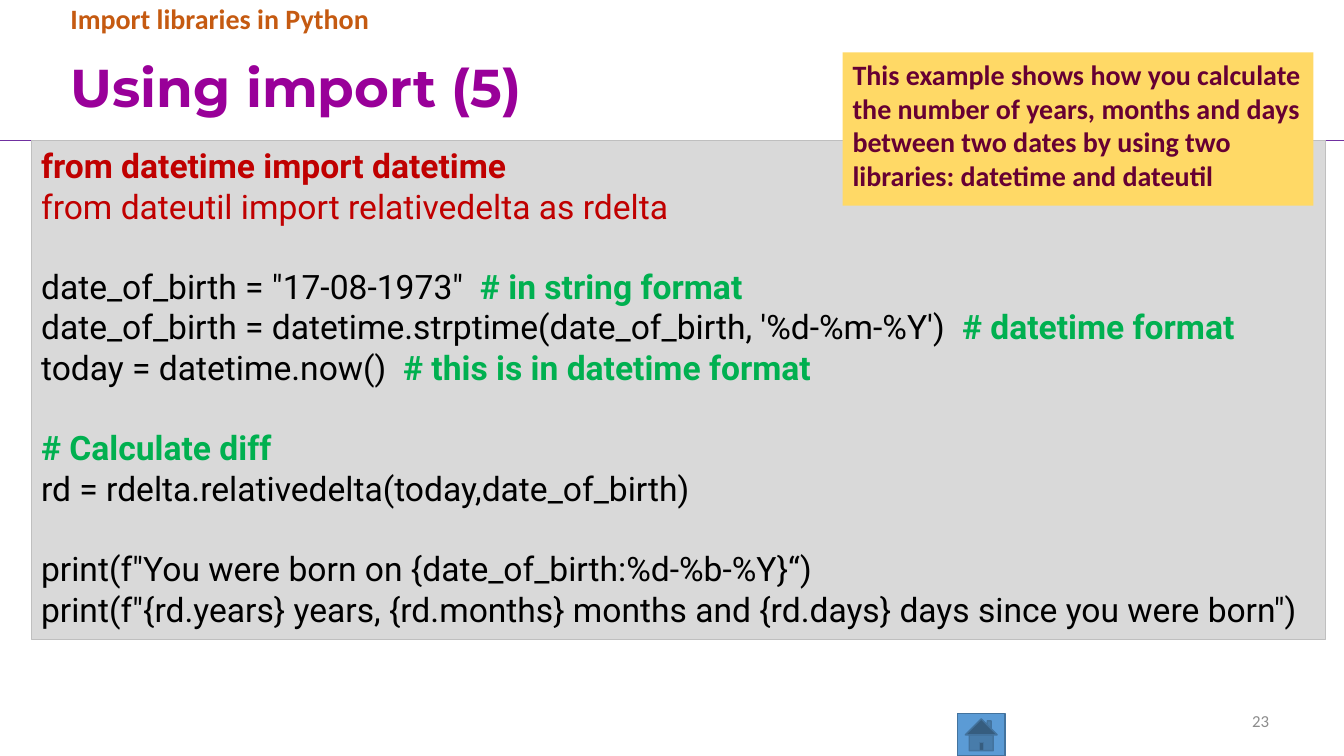
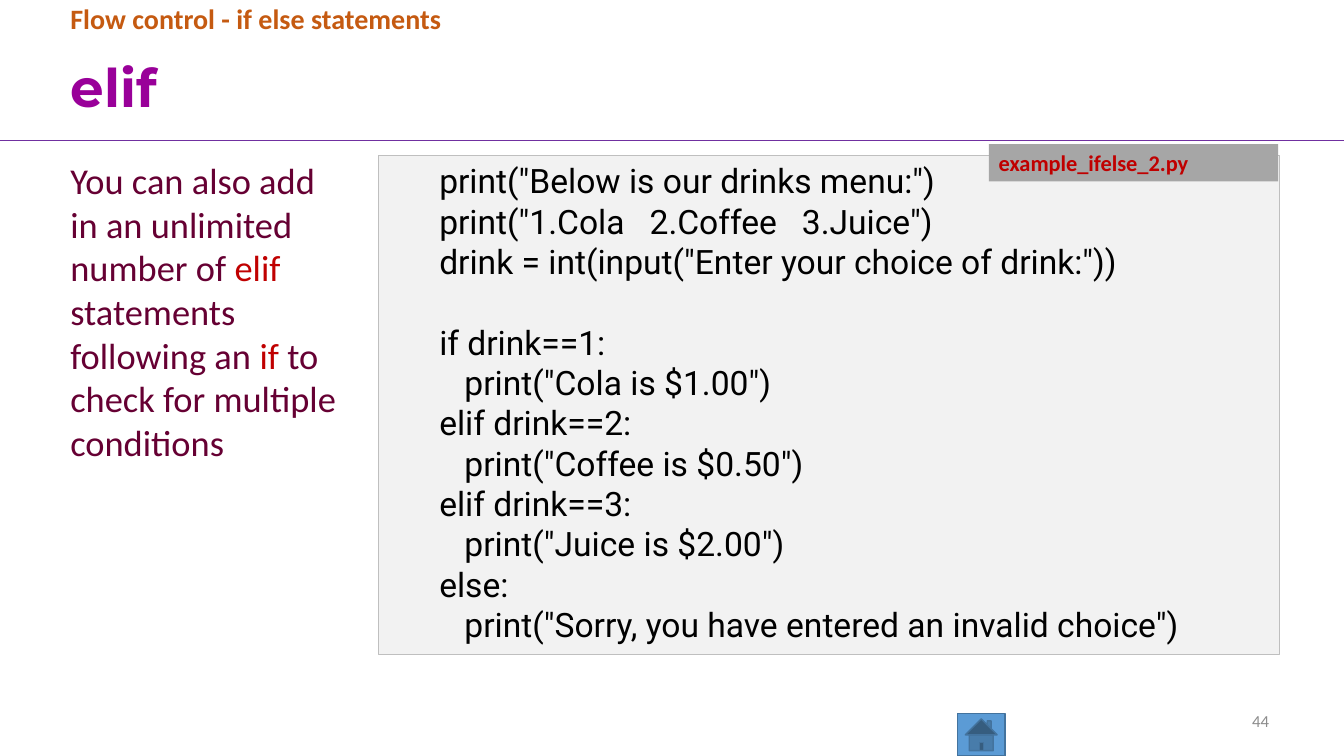
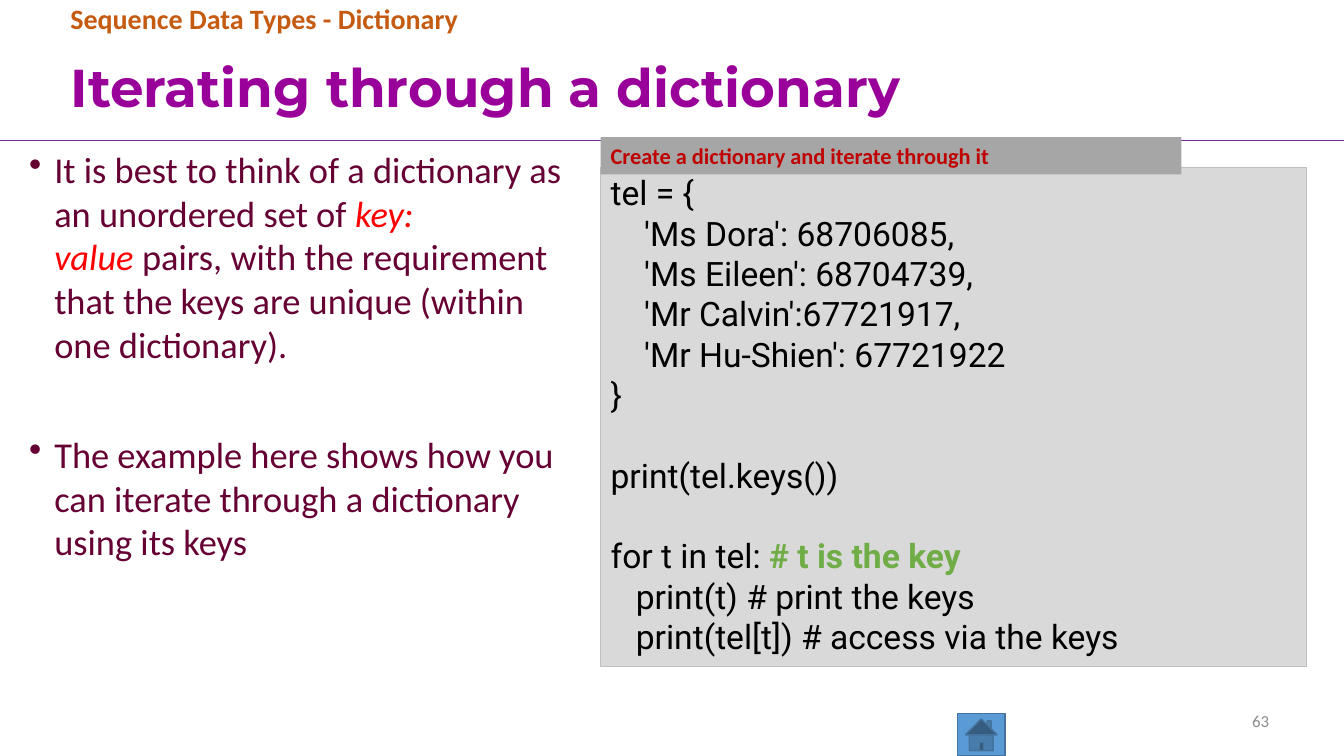
from dataclasses import dataclass
from typing import NamedTuple, Optional

from lxml.etree import SubElement
from pptx import Presentation
from pptx.dml.color import RGBColor
from pptx.enum.shapes import MSO_CONNECTOR, MSO_SHAPE
from pptx.enum.text import MSO_ANCHOR, MSO_AUTO_SIZE, PP_ALIGN
from pptx.oxml.ns import qn
from pptx.util import Pt


class Style(NamedTuple):
    font: str
    size: float
    color: str
    bold: bool = False


@dataclass(frozen=True)
class Theme:
    title: Style = Style("Montserrat", 38, "990099", True)
    topic: Style = Style("Calibri", 20, "C55A11", True)
    number: Style = Style("Calibri", 12, "8C8C8C")
    body: Style = Style("Calibri", 26, "660033")
    callout: Style = Style("Calibri", 20, "660033", True)
    label: Style = Style("Calibri", 16, "C00000", True)
    code: Style = Style("Roboto", 24, "000000")
    keyword: str = "C00000"
    emphasis: str = "FF0000"
    comment: str = "00B050"
    key_comment: str = "70AD47"
    rule: str = "7030A0"
    home_fill: str = "5B9BD5"
    home_line: str = "43739E"
    callout_fill: str = "FFD966"
    label_fill: str = "A6A6A6"
    code_fill: str = "D9D9D9"
    light_code_fill: str = "F2F2F2"
    code_line: str = "BFBFBF"
    blank_line: float = 28.8
    bullet_gap: float = 47.7
    bullet_indent: float = 18


class Box(NamedTuple):
    left: float
    top: float
    width: float
    height: float


class Span(NamedTuple):
    text: str
    color: Optional[str] = None
    bold: bool = False
    italic: bool = False


@dataclass(frozen=True)
class Line:
    spans: tuple[Span, ...]
    before: float = 0
    indent: float = 0
    bullet: bool = False


THEME = Theme()
PAGE_WIDTH, PAGE_HEIGHT = 960, 540
RULE_TOP = 100.08
TITLE_BOX = Box(43.2, 29.52, 870.48, 69.84)
TOPIC_BOX = Box(43.2, 0, 744.48, 29.52)
NUMBER_BOX = Box(678.24, 500.4, 235.44, 28.8)
HOME_BOX = Box(684, 509.76, 33.84, 30.24)
CODE_HEIGHT = 356.4
LABEL_HEIGHT = 26.64
NO_BREAK = chr(160)


def line(*parts: Span | str, before: float = 0, indent: float = 0,
         bullet: bool = False) -> Line:
    spans = tuple(Span(part) if isinstance(part, str) else part for part in parts)
    return Line(spans, before, indent, bullet)


def after_blank(*parts: Span | str) -> Line:
    return line(*parts, before=THEME.blank_line)


def comment(text: str, color: str = THEME.comment) -> Span:
    return Span(text, color, bold=True)


def rgb(color: str) -> RGBColor:
    return RGBColor.from_string(color)


def place(shape, box: Box) -> None:
    shape.left, shape.top, shape.width, shape.height = map(Pt, box)


def write(shape, lines: list[Line], style: Style, base_indent: float = 0,
          anchor=MSO_ANCHOR.TOP, align=PP_ALIGN.LEFT, spacing: float = 1.0) -> None:
    frame = shape.text_frame
    frame.word_wrap = True
    frame.auto_size = MSO_AUTO_SIZE.NONE
    frame.vertical_anchor = anchor
    for index, item in enumerate(lines):
        para = frame.add_paragraph() if index else frame.paragraphs[0]
        para.alignment = align
        para.line_spacing = spacing
        para.space_before = Pt(item.before)
        properties = para._p.get_or_add_pPr()
        hanging = THEME.bullet_indent if item.bullet else 0
        properties.set("marL", str(Pt(base_indent + item.indent + hanging)))
        properties.set("indent", str(Pt(-hanging)))
        if item.bullet:
            SubElement(properties, qn("a:buChar")).set("char", "•")
        para.font.name = style.font
        para.font.size = Pt(style.size)
        para.font.bold = style.bold
        para.font.color.rgb = rgb(style.color)
        for span in item.spans:
            run = para.add_run()
            run.text = span.text
            if span.color:
                run.font.color.rgb = rgb(span.color)
            if span.bold:
                run.font.bold = True
            if span.italic:
                run.font.italic = True


def add_text(page, box: Box, lines: list[Line], style: Style, **options):
    shape = page.shapes.add_textbox(*map(Pt, box))
    write(shape, lines, style, **options)


def add_panel(page, box: Box, fill: str, border: Optional[str] = None,
              border_width: float = 0.75, preset=MSO_SHAPE.RECTANGLE):
    shape = page.shapes.add_shape(preset, *map(Pt, box))
    shape.shadow.inherit = False
    shape.fill.solid()
    shape.fill.fore_color.rgb = rgb(fill)
    if border:
        shape.line.color.rgb = rgb(border)
        shape.line.width = Pt(border_width)
    else:
        shape.line.fill.background()
    return shape


def add_code(page, left: float, top: float, width: float, lines: list[Line],
             fill: str = THEME.code_fill, base_indent: float = 0) -> None:
    panel = add_panel(page, Box(left, top, width, CODE_HEIGHT), fill, THEME.code_line)
    write(panel, lines, THEME.code, base_indent)


def add_label(page, left: float, top: float, width: float, text: str) -> None:
    panel = add_panel(page, Box(left, top, width, LABEL_HEIGHT), THEME.label_fill)
    write(panel, [line(text)], THEME.label)


def add_page(deck, topic: str, title: str, number: int):
    page = deck.slides.add_slide(deck.slide_layouts[5])
    rule = page.shapes.add_connector(
        MSO_CONNECTOR.STRAIGHT, Pt(0), Pt(RULE_TOP), Pt(PAGE_WIDTH), Pt(RULE_TOP))
    rule.line.color.rgb = rgb(THEME.rule)
    rule.line.width = Pt(0.5)
    SubElement(rule._element.spPr, qn("a:effectLst"))
    add_panel(page, HOME_BOX, THEME.home_fill, THEME.home_line, 1,
              MSO_SHAPE.ACTION_BUTTON_HOME)
    place(page.shapes.title, TITLE_BOX)
    write(page.shapes.title, [line(title)], THEME.title,
          anchor=MSO_ANCHOR.MIDDLE, spacing=0.9)
    add_text(page, TOPIC_BOX, [line(topic)], THEME.topic, spacing=0.9)
    add_text(page, NUMBER_BOX, [line(str(number))], THEME.number,
             anchor=MSO_ANCHOR.MIDDLE, align=PP_ALIGN.RIGHT)
    return page


def build_import_page(deck) -> None:
    page = add_page(deck, "Import libraries in Python", "Using import (5)", 23)
    add_code(page, 22.32, 100.08, 924.48, [
        line(Span("from datetime import datetime", THEME.keyword, bold=True)),
        line(Span("from dateutil import relativedelta as rdelta", THEME.keyword)),
        after_blank('date_of_birth = "17-08-1973"  ', comment("# in string format")),
        line("date_of_birth = datetime.strptime(date_of_birth, '%d-%m-%Y')  ",
             comment("# datetime format")),
        line("today = datetime.now()  ", comment("# this is in datetime format")),
        after_blank(comment("# Calculate diff")),
        line("rd = rdelta.relativedelta(today,date_of_birth)"),
        after_blank('print(f"You were born on {date_of_birth:%d-%b-%Y}“)'),
        line('print(f"{rd.years} years, {rd.months} months and '
             '{rd.days} days since you were born")'),
    ])
    callout = add_panel(page, Box(601.92, 37.44, 336.24, 109.44), THEME.callout_fill)
    write(callout, [line(
        "This example shows how you calculate the number of years, months and days "
        "between two dates by using two libraries: datetime and dateutil",
    )], THEME.callout)


def build_elif_page(deck) -> None:
    page = add_page(deck, "Flow control - if else statements", "elif", 44)
    add_text(page, Box(43.2, 109.44, 210.96, 227.52), [line(
        "You can also add in an unlimited number of ",
        Span("elif ", THEME.keyword),
        "statements following an ",
        Span("if ", THEME.keyword),
        "to check for multiple conditions",
    )], THEME.body)
    nested = 18
    add_code(page, 270.72, 110.88, 642.96, [
        line('print("Below is our drinks menu:")'),
        line('print("1.Cola   2.Coffee   3.Juice")'),
        line('drink = int(input("Enter your choice of drink:"))'),
        after_blank("if drink==1:"),
        line('print("Cola is $1.00")', indent=nested),
        line("elif drink==2:"),
        line('print("Coffee is $0.50")', indent=nested),
        line("elif drink==3:"),
        line('print("Juice is $2.00")', indent=nested),
        line("else:"),
        line('print("Sorry, you have entered an invalid choice")', indent=nested),
    ], THEME.light_code_fill, base_indent=36)
    add_label(page, 706.32, 102.96, 206.64, "example_ifelse_2.py")


def build_dictionary_page(deck) -> None:
    page = add_page(deck, "Sequence Data Types - Dictionary",
                    "Iterating through a dictionary", 63)
    entries = ["'Ms Dora': 68706085,", "'Ms Eileen': 68704739,",
               "'Mr Calvin':67721917,", "'Mr Hu-Shien': 67721922"]
    loop_body = ["print(t) # print the keys", "print(tel[t]) # access via the keys"]
    add_code(page, 429.12, 119.52, 504, [
        line("tel = {"),
        *(line(entry, indent=24) for entry in entries),
        line("}"),
        after_blank("print(tel.keys())"),
        after_blank("for t in tel: ", comment("# t is the key", THEME.key_comment)),
        *(line(statement, indent=18) for statement in loop_body),
    ])
    add_text(page, Box(13.68, 101.52, 397.44, 372.96), [
        line(f"It is best to think of a dictionary as an unordered set of{NO_BREAK}",
             Span("key: value", THEME.emphasis, italic=True),
             f"{NO_BREAK}pairs, with the requirement that the keys are unique "
             "(within one dictionary).", bullet=True),
        line("The example here shows how you can iterate through a dictionary "
             "using its keys", before=THEME.bullet_gap, bullet=True),
    ], THEME.body)
    add_label(page, 429.12, 97.92, 414.72, "Create a dictionary and iterate through it")


def main() -> None:
    deck = Presentation()
    deck.slide_width, deck.slide_height = Pt(PAGE_WIDTH), Pt(PAGE_HEIGHT)
    build_import_page(deck)
    build_elif_page(deck)
    build_dictionary_page(deck)
    deck.save("out.pptx")


if __name__ == "__main__":
    main()
